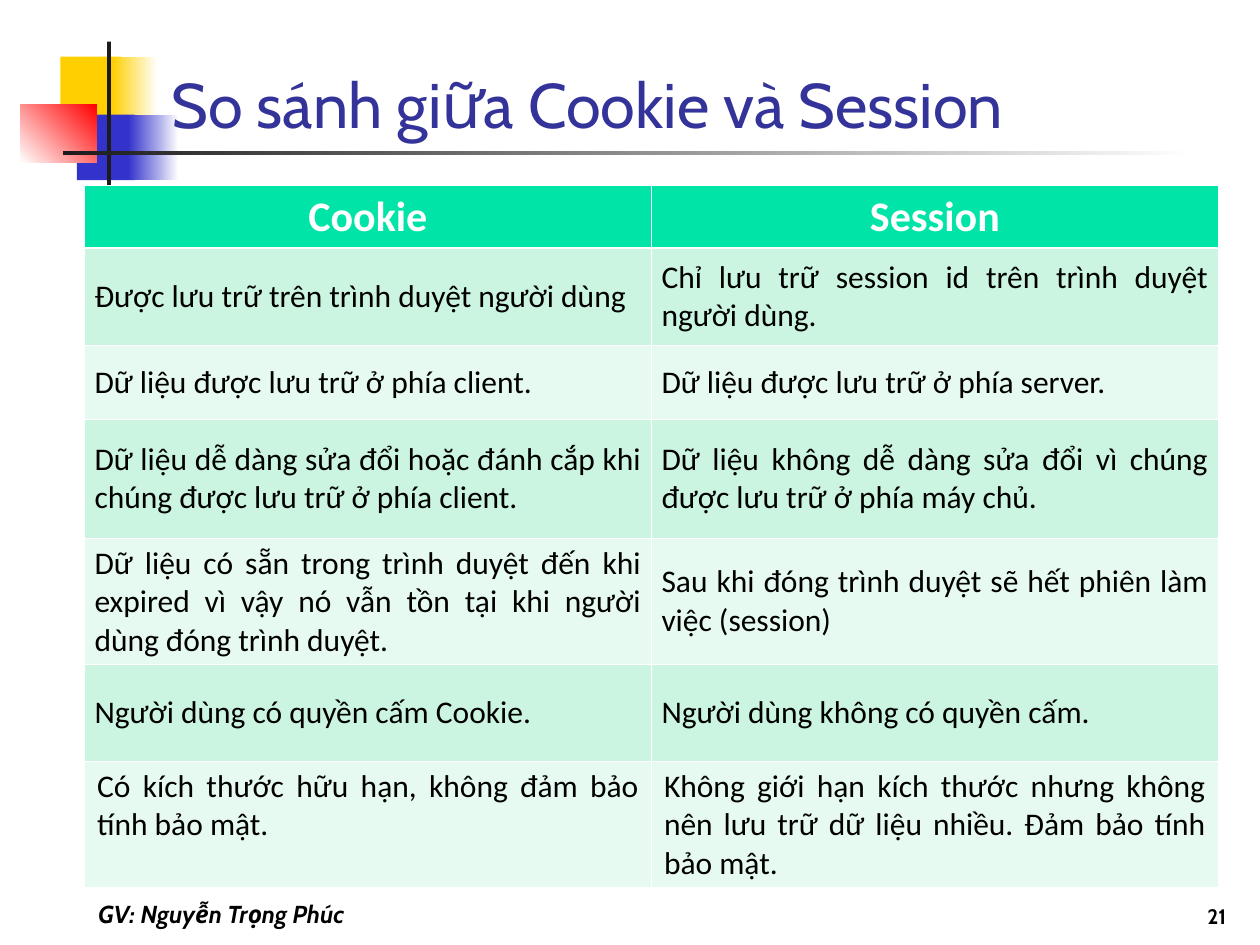
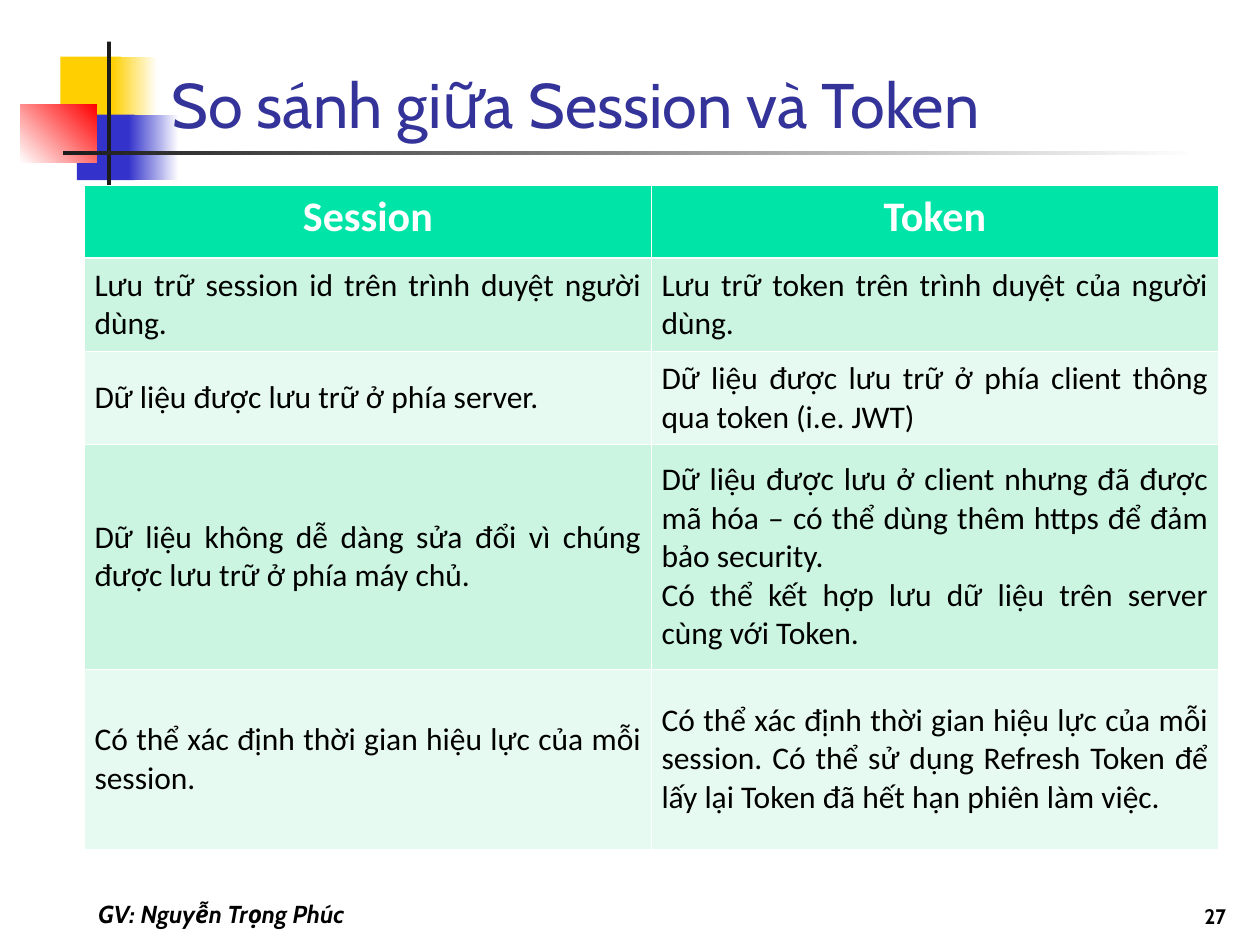
from dataclasses import dataclass

from lxml import etree
from pptx import Presentation
from pptx.dml.color import RGBColor
from pptx.enum.shapes import MSO_SHAPE
from pptx.enum.text import MSO_ANCHOR, MSO_AUTO_SIZE, PP_ALIGN
from pptx.oxml.ns import qn
from pptx.slide import Slide
from pptx.table import _Cell
from pptx.text.text import TextFrame
from pptx.util import Inches, Pt

RECTANGLE = MSO_SHAPE.RECTANGLE
TOP, MIDDLE, BOTTOM = MSO_ANCHOR.TOP, MSO_ANCHOR.MIDDLE, MSO_ANCHOR.BOTTOM
LEFT, CENTER, RIGHT = PP_ALIGN.LEFT, PP_ALIGN.CENTER, PP_ALIGN.RIGHT
JUSTIFY = PP_ALIGN.JUSTIFY
NO_AUTOFIT = MSO_AUTO_SIZE.NONE

WHITE = RGBColor(0xFF, 0xFF, 0xFF)
BLACK = RGBColor(0x00, 0x00, 0x00)
YELLOW = RGBColor(0xFF, 0xCF, 0x01)
BLUE = RGBColor(0x33, 0x33, 0xCC)
RED = RGBColor(0xFF, 0x00, 0x00)
CHARCOAL = RGBColor(0x1C, 0x1C, 0x1C)
TITLE_BLUE = RGBColor(0x33, 0x33, 0x99)
HEADER_GREEN = RGBColor(0x00, 0xE4, 0xA8)
BAND_GREENS = (RGBColor(0xCB, 0xF5, 0xE1), RGBColor(0xE7, 0xFA, 0xF1))

HEADING_FONT = "Cabin"
TABLE_FONT = "Calibri"
THIN_BORDER = Pt(0.45)
THICK_BORDER = Pt(1.47)
COLUMN_WIDTH = 4.5
TEACHER = "GV: Nguyễn Trọng Phúc"


@dataclass(frozen=True)
class Block:
    left: float
    top: float
    width: float
    height: float
    start: RGBColor
    end: RGBColor | None = None
    angle: float = 0


@dataclass(frozen=True)
class TextStyle:
    size: float
    color: RGBColor
    font: str = HEADING_FONT
    bold: bool = False
    italic: bool = False
    align: PP_ALIGN = LEFT


@dataclass(frozen=True)
class Row:
    height: float
    left: str
    right: str
    anchor: MSO_ANCHOR = MIDDLE
    margin: float = 0.08


@dataclass(frozen=True)
class Comparison:
    title: str
    number: str
    rows: tuple[Row, ...]


BLOCKS = (
    Block(0.48, 0.45, 0.48, 0.52, YELLOW),
    Block(0.89, 0.45, 0.36, 0.52, YELLOW, WHITE),
    Block(0.61, 0.91, 0.46, 0.52, BLUE),
    Block(1.02, 0.91, 0.4, 0.52, BLUE, WHITE),
    Block(0.16, 0.83, 0.61, 0.46, WHITE, RED, 45),
    Block(0.85, 0.33, 0.03, 1.15, CHARCOAL),
    Block(0.5, 1.2, 9, 0.03, CHARCOAL, WHITE),
)

TITLE_STYLE = TextStyle(36, TITLE_BLUE)
TEACHER_STYLE = TextStyle(14, BLACK, bold=True, italic=True, align=CENTER)
NUMBER_STYLE = TextStyle(12, BLACK, bold=True, align=RIGHT)
HEADER_STYLE = TextStyle(24, WHITE, TABLE_FONT, bold=True, align=CENTER)
BODY_STYLE = TextStyle(18, BLACK, TABLE_FONT, align=JUSTIFY)

COMPARISONS = (
    Comparison("So sánh giữa Cookie và Session", "21", (
        Row(0.5, "Cookie", "Session", TOP, 0.1),
        Row(0.77, "Được lưu trữ trên trình duyệt người dùng",
            "Chỉ lưu trữ session id trên trình duyệt người dùng."),
        Row(0.59, "Dữ liệu được lưu trữ ở phía client.",
            "Dữ liệu được lưu trữ ở phía server."),
        Row(0.94, "Dữ liệu dễ dàng sửa đổi hoặc đánh cắp khi chúng được lưu trữ ở phía client.",
            "Dữ liệu không dễ dàng sửa đổi vì chúng được lưu trữ ở phía máy chủ."),
        Row(0.94, "Dữ liệu có sẵn trong trình duyệt đến khi expired vì vậy nó vẫn tồn tại "
            "khi người dùng đóng trình duyệt.",
            "Sau khi đóng trình duyệt sẽ hết phiên làm việc (session)"),
        Row(0.77, "Người dùng có quyền cấm Cookie.", "Người dùng không có quyền cấm."),
        Row(1, "Có kích thước hữu hạn, không đảm bảo tính bảo mật.",
            "Không giới hạn kích thước nhưng không nên lưu trữ dữ liệu nhiều. "
            "Đảm bảo tính bảo mật.", TOP, 0.1),
    )),
    Comparison("So sánh giữa Session và Token", "27", (
        Row(0.58, "Session", "Token", TOP, 0.1),
        Row(0.74, "Lưu trữ session id trên trình duyệt người dùng.",
            "Lưu trữ token trên trình duyệt của người dùng."),
        Row(0.74, "Dữ liệu được lưu trữ ở phía server.",
            "Dữ liệu được lưu trữ ở phía client thông qua token (i.e. JWT)"),
        Row(1.78, "Dữ liệu không dễ dàng sửa đổi vì chúng được lưu trữ ở phía máy chủ.",
            "Dữ liệu được lưu ở client nhưng đã được mã hóa – có thể dùng thêm https "
            "để đảm bảo security.\n"
            "Có thể kết hợp lưu dữ liệu trên server cùng với Token."),
        Row(1.43, "Có thể xác định thời gian hiệu lực của mỗi session.",
            "Có thể xác định thời gian hiệu lực của mỗi session. Có thể sử dụng "
            "Refresh Token để lấy lại Token đã hết hạn phiên làm việc."),
    )),
)


def write(frame: TextFrame, text: str, style: TextStyle) -> None:
    frame.text = text
    for paragraph in frame.paragraphs:
        paragraph.alignment = style.align
        for span in paragraph.runs:
            span.font.name = style.font
            span.font.size = Pt(style.size)
            span.font.bold = style.bold
            span.font.italic = style.italic
            span.font.color.rgb = style.color


def add_block(slide: Slide, block: Block) -> None:
    shape = slide.shapes.add_shape(RECTANGLE, Inches(block.left), Inches(block.top),
                                   Inches(block.width), Inches(block.height))
    shape.shadow.inherit = False
    shape.line.fill.background()
    if block.end is None:
        shape.fill.solid()
        shape.fill.fore_color.rgb = block.start
        return
    shape.fill.gradient()
    shape.fill.gradient_angle = block.angle
    for stop, color in zip(shape.fill.gradient_stops, (block.start, block.end)):
        stop.color.rgb = color


def set_title(slide: Slide, text: str) -> None:
    """Fill the title and bring it in front of the decoration."""
    title = slide.shapes.title
    title.left, title.top = Inches(1.26), Inches(0.42)
    title.width, title.height = Inches(8.52), Inches(0.75)
    frame = title.text_frame
    frame.auto_size = NO_AUTOFIT
    frame.vertical_anchor = BOTTOM
    write(frame, text, TITLE_STYLE)
    title.element.getparent().append(title.element)


def add_footer(slide: Slide, left: float, width: float, text: str, style: TextStyle) -> None:
    box = slide.shapes.add_textbox(Inches(left), Inches(6.92), Inches(width), Inches(0.5))
    frame = box.text_frame
    frame.word_wrap = True
    frame.vertical_anchor = BOTTOM
    write(frame, text, style)


def add_borders(cell: _Cell, top: int, bottom: int) -> None:
    properties = cell._tc.get_or_add_tcPr()
    widths = {"a:lnL": THIN_BORDER, "a:lnR": THIN_BORDER, "a:lnT": top, "a:lnB": bottom}
    for tag, width in widths.items():
        line = etree.SubElement(properties, qn(tag), w=str(int(width)))
        fill = etree.SubElement(line, qn("a:solidFill"))
        etree.SubElement(fill, qn("a:srgbClr"), val=str(WHITE))


def add_comparison_table(slide: Slide, rows: tuple[Row, ...]) -> None:
    height = sum(row.height for row in rows)
    table = slide.shapes.add_table(len(rows), 2, Inches(0.67), Inches(1.47),
                                   Inches(2 * COLUMN_WIDTH), Inches(height)).table
    table.horz_banding = False
    for column in table.columns:
        column.width = Inches(COLUMN_WIDTH)
    for index, row in enumerate(rows):
        table.rows[index].height = Inches(row.height)
        is_header = index == 0
        for cell, text in zip(table.rows[index].cells, (row.left, row.right)):
            add_borders(cell, THICK_BORDER if index == 1 else THIN_BORDER,
                        THICK_BORDER if is_header else THIN_BORDER)
            cell.fill.solid()
            cell.fill.fore_color.rgb = HEADER_GREEN if is_header else BAND_GREENS[(index - 1) % 2]
            cell.vertical_anchor = row.anchor
            cell.margin_left = cell.margin_right = Inches(row.margin)
            write(cell.text_frame, text, HEADER_STYLE if is_header else BODY_STYLE)


def main() -> None:
    deck = Presentation()
    deck.slide_width, deck.slide_height = Inches(10), Inches(7.5)
    title_only = deck.slide_layouts.get_by_name("Title Only")
    for comparison in COMPARISONS:
        page = deck.slides.add_slide(title_only)
        for block in BLOCKS:
            add_block(page, block)
        set_title(page, comparison.title)
        add_footer(page, 0.17, 3.17, TEACHER, TEACHER_STYLE)
        add_footer(page, 7.75, 2.08, comparison.number, NUMBER_STYLE)
        add_comparison_table(page, comparison.rows)
    deck.save("out.pptx")


if __name__ == "__main__":
    main()
